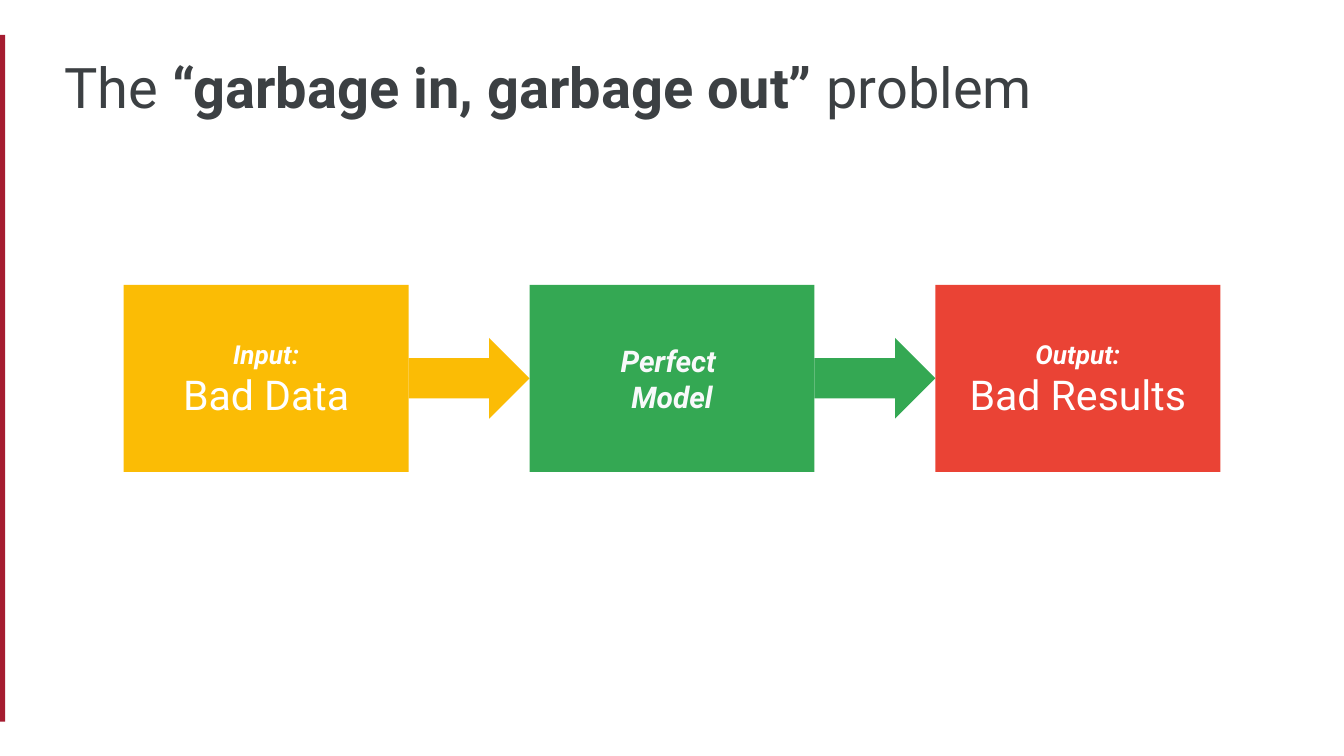
from pptx import Presentation
from pptx.dml.color import RGBColor
from pptx.enum.shapes import MSO_SHAPE
from pptx.enum.text import MSO_ANCHOR, MSO_AUTO_SIZE, PP_ALIGN
from pptx.util import Inches, Pt

RECT, ROUNDED = MSO_SHAPE.RECTANGLE, MSO_SHAPE.ROUNDED_RECTANGLE
ARROW = MSO_SHAPE.RIGHT_ARROW
TOP, MIDDLE = MSO_ANCHOR.TOP, MSO_ANCHOR.MIDDLE
LEFT, CENTER = PP_ALIGN.LEFT, PP_ALIGN.CENTER

FONT = "Roboto"
CRIMSON, GRAY, WHITE, PALE = "A51C30", "3C4043", "FFFFFF", "F8F9FA"
YELLOW, GREEN, RED = "FBBC05", "34A853", "EA4335"

TITLE_STYLE = {"size": Pt(30), "bold": False}
LABEL = {"size": Pt(14), "bold": True, "italic": True}
VALUE = {"size": Pt(22), "bold": False, "italic": False}
MODEL = {"size": Pt(16), "bold": True, "italic": True}

TITLE = [
    ("The ", TITLE_STYLE),
    ("“garbage in, garbage out” ", {**TITLE_STYLE, "bold": True}),
    ("problem", TITLE_STYLE),
]
STEPS = [
    (YELLOW, WHITE, [("Input:", LABEL), ("Bad Data", VALUE)]),
    (GREEN, PALE, [("Perfect ", MODEL), ("Model", MODEL)]),
    (RED, WHITE, [("Output:", LABEL), ("Bad Results", VALUE)]),
]

SLIDE_W = 10
SLIDE_H = SLIDE_W * 9 / 16
BOX_W, BOX_H, BOX_TOP = 2.12, 1.39, 2.12
ARROW_W, ARROW_H = 0.9, 0.6


def rgb(color):
    return RGBColor.from_string(color)


def add_block(shapes, kind, x, y, w, h, color):
    sp = shapes.add_shape(kind, Inches(x), Inches(y), Inches(w), Inches(h))
    sp.shadow.inherit = False
    sp.fill.solid()
    sp.fill.fore_color.rgb = rgb(color)
    sp.line.fill.background()
    return sp


def format_frame(tf, anchor):
    tf.word_wrap = True
    tf.auto_size = MSO_AUTO_SIZE.NONE
    tf.vertical_anchor = anchor
    for side in ("left", "top", "right", "bottom"):
        setattr(tf, f"margin_{side}", Inches(0.1))


def add_run(p, text, color, style):
    r = p.add_run()
    r.text = text
    r.font.name = FONT
    r.font.color.rgb = rgb(color)
    for name, value in style.items():
        setattr(r.font, name, value)


def add_title(s):
    sp = s.shapes.title
    sp.left, sp.top, sp.width, sp.height = map(Inches, (0.38, 0.29, 8.53, 0.6))
    format_frame(sp.text_frame, TOP)
    p = sp.text_frame.paragraphs[0]
    p.alignment = LEFT
    p.line_spacing = 1.0
    for text, style in TITLE:
        add_run(p, text, GRAY, style)


def add_flow(shapes):
    pitch = BOX_W + ARROW_W
    start = (SLIDE_W - len(STEPS) * BOX_W - (len(STEPS) - 1) * ARROW_W) / 2
    for i, (fill, color, lines) in enumerate(STEPS):
        x = start + i * pitch
        sp = add_block(shapes, ROUNDED, x, BOX_TOP, BOX_W, BOX_H, fill)
        sp.adjustments[0] = 0
        tf = sp.text_frame
        format_frame(tf, MIDDLE)
        for n, (text, style) in enumerate(lines):
            p = tf.add_paragraph() if n else tf.paragraphs[0]
            p.alignment = CENTER
            add_run(p, text, color, style)
        if i < len(STEPS) - 1:
            arrow_top = BOX_TOP + (BOX_H - ARROW_H) / 2
            add_block(shapes, ARROW, x + BOX_W, arrow_top, ARROW_W, ARROW_H, fill)


def main():
    prs = Presentation()
    prs.slide_width, prs.slide_height = Inches(SLIDE_W), Inches(SLIDE_H)
    s = prs.slides.add_slide(prs.slide_layouts[5])
    add_block(s.shapes, RECT, -0.02, 0.26, 0.06, 5.11, CRIMSON)
    add_title(s)
    add_flow(s.shapes)
    prs.save("out.pptx")


if __name__ == "__main__":
    main()
